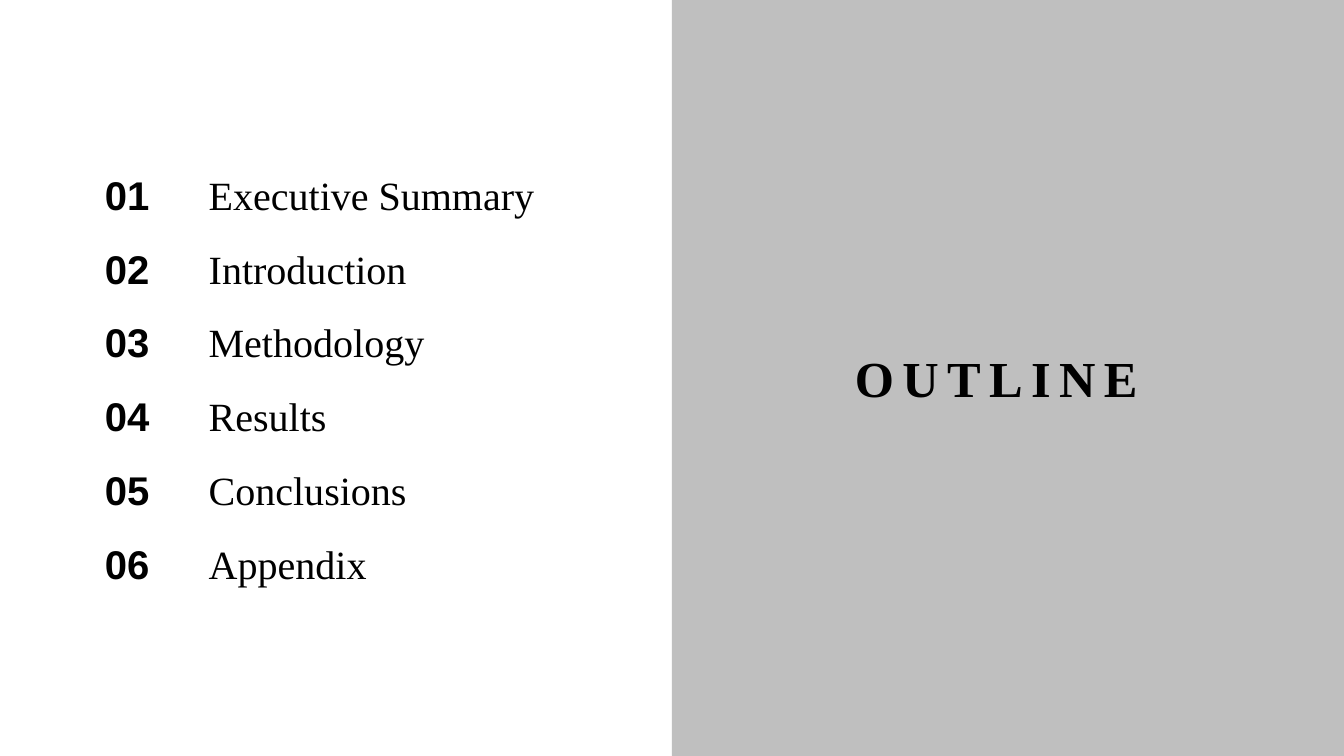
"""Build an outline slide with numbered sections beside a grey title panel."""
import pptx
import pptx.dml.color
import pptx.enum.shapes
import pptx.enum.text
import pptx.util

Inches = pptx.util.Inches
Pt = pptx.util.Pt

HEADING = "OUTLINE "
SECTIONS = ["Executive Summary", "Introduction", "Methodology",
            "Results", "Conclusions", "Appendix"]
WIDTH, HEIGHT = 13.33, 7.5
FIRST_TOP, LAST_TOP, ROW_HEIGHT = 1.69, 5.35, 0.48
NUMBER_COLUMN = (1.04, 0.86)
NAME_COLUMN = (2.07, 3.55)
BLACK, GREY = "000000", "BFBFBF"


def color(hex_value):
    return pptx.dml.color.RGBColor.from_string(hex_value)


def style(paragraph, size, face, bold):
    font = paragraph.runs[0].font
    font.size, font.name, font.bold = Pt(size), face, bold
    font.color.rgb = color(BLACK)
    return font


def add_entry(slide, words, column, top, face, bold):
    left, width = column
    entry = slide.shapes.add_textbox(Inches(left), Inches(top),
                                     Inches(width), Inches(ROW_HEIGHT))
    frame = entry.text_frame
    frame.margin_left = frame.margin_right = 0
    frame.margin_top = frame.margin_bottom = 0
    frame.word_wrap = False
    frame.text = words
    frame.paragraphs[0].space_after = Pt(6)
    style(frame.paragraphs[0], 28.6, face, bold)


def add_panel(slide):
    panel = slide.shapes.add_shape(
        pptx.enum.shapes.MSO_SHAPE.RECTANGLE,
        Inches(WIDTH / 2), 0, Inches(WIDTH / 2), Inches(HEIGHT))
    panel.shadow.inherit = False
    panel.fill.solid()
    panel.fill.fore_color.rgb = color(GREY)
    panel.line.fill.background()
    slide.shapes._spTree.insert(2, panel._element)


def format_heading(heading):
    heading.left, heading.top = Inches(7.99), Inches(2.08)
    heading.width, heading.height = Inches(3.99), Inches(3.33)
    frame = heading.text_frame
    frame.text = HEADING
    frame.word_wrap = True
    frame.auto_size = pptx.enum.text.MSO_AUTO_SIZE.NONE
    frame.vertical_anchor = pptx.enum.text.MSO_ANCHOR.MIDDLE
    frame.paragraphs[0].alignment = pptx.enum.text.PP_ALIGN.CENTER
    font = style(frame.paragraphs[0], 36, "Times New Roman", True)
    font._element.set("spc", "600")


def main():
    deck = pptx.Presentation()
    deck.slide_width, deck.slide_height = Inches(WIDTH), Inches(HEIGHT)
    slide = deck.slides.add_slide(deck.slide_layouts[5])
    add_panel(slide)
    format_heading(slide.shapes.title)
    pitch = (LAST_TOP - FIRST_TOP) / (len(SECTIONS) - 1)
    for index, section in enumerate(SECTIONS):
        top = FIRST_TOP + index * pitch
        add_entry(slide, f"{index + 1:02d}", NUMBER_COLUMN, top, "Arial", True)
        add_entry(slide, section, NAME_COLUMN, top, "Times New Roman", False)
    deck.save("out.pptx")


if __name__ == "__main__":
    main()
